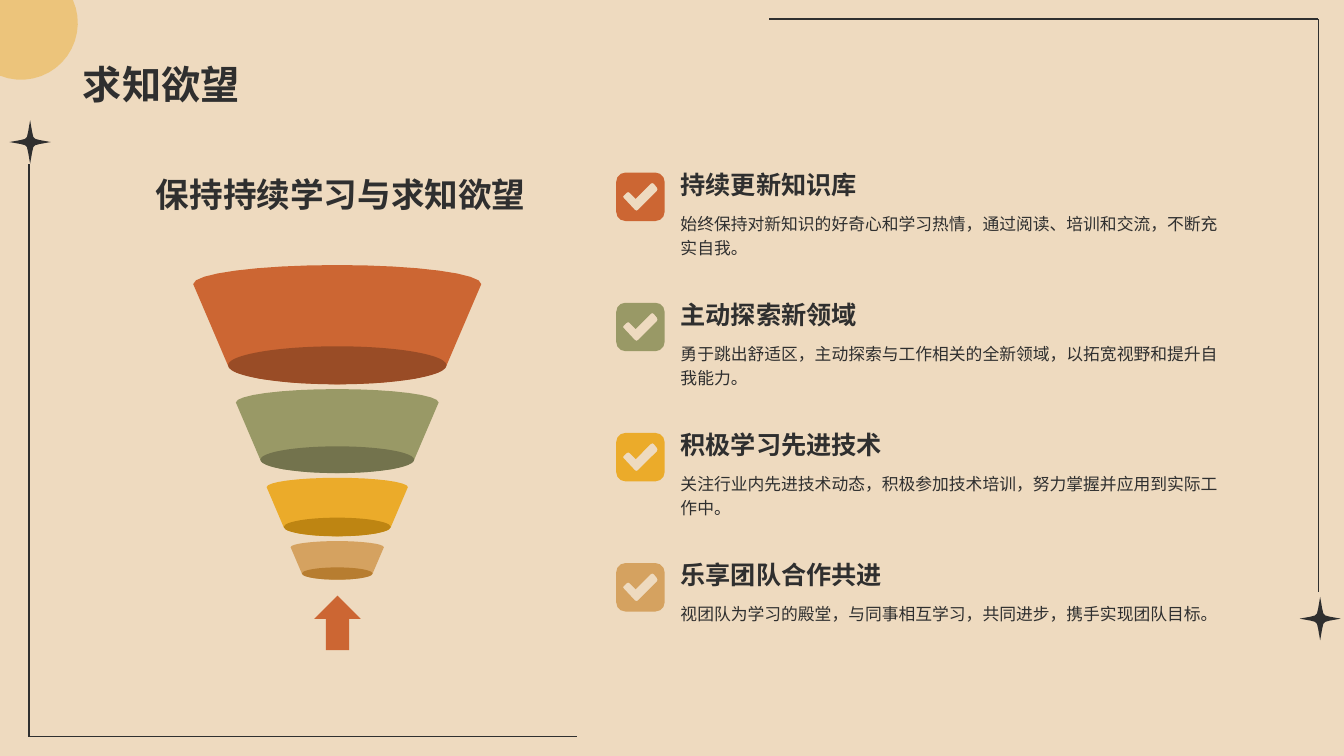
import math
from dataclasses import dataclass
from typing import Any, Optional

import lxml.etree
import pptx
import pptx.dml.color
import pptx.enum.lang
import pptx.enum.shapes
import pptx.enum.text
import pptx.oxml.ns
import pptx.util

Cm = pptx.util.Cm
qn = pptx.oxml.ns.qn
Shapes = pptx.enum.shapes.MSO_SHAPE
Anchor = pptx.enum.text.MSO_ANCHOR
Align = pptx.enum.text.PP_ALIGN
Point = tuple[float, float]


@dataclass(frozen=True)
class Theme:
    paper: str = "EEDABF"
    ink: str = "2F2F2F"
    rust: str = "CC6633"
    rust_dark: str = "994C26"
    olive: str = "999966"
    olive_dark: str = "73734D"
    gold: str = "EBAB2A"
    gold_dark: str = "BE8512"
    tan: str = "D5A260"
    tan_dark: str = "B77D30"
    font: str = "Arial"
    title: int = 28
    subtitle: int = 24
    heading: int = 18
    detail: int = 12


@dataclass(frozen=True)
class Habit:
    heading: str
    detail: str
    color: str
    dark: str
    tier_width: float


@dataclass(frozen=True)
class Label:
    text: str
    left: float
    top: float
    width: float
    height: float
    size: int
    bold: bool = True
    anchor: Any = Anchor.TOP
    align: Any = Align.LEFT
    spacing: Optional[float] = None


THEME = Theme()
HABITS = [
    Habit("持续更新知识库",
          "始终保持对新知识的好奇心和学习热情，通过阅读、培训和交流，不断充实自我。",
          THEME.rust, THEME.rust_dark, 7.26),
    Habit("主动探索新领域",
          "勇于跳出舒适区，主动探索与工作相关的全新领域，以拓宽视野和提升自我能力。",
          THEME.olive, THEME.olive_dark, 5.11),
    Habit("积极学习先进技术",
          "关注行业内先进技术动态，积极参加技术培训，努力掌握并应用到实际工作中。",
          THEME.gold, THEME.gold_dark, 3.56),
    Habit("乐享团队合作共进",
          "视团队为学习的殿堂，与同事相互学习，共同进步，携手实现团队目标。",
          THEME.tan, THEME.tan_dark, 2.35),
]
PAGE_WIDTH, PAGE_HEIGHT = 33.87, 19.05
FRAME_CORNERS = [((0.73, 18.56), (0.73, 4.14), (14.53, 18.56)),
                 ((33.22, 0.48), (33.22, 14.91), (19.38, 0.48))]
STAR_CENTERS = [(0.76, 3.58), (33.27, 15.59)]
STAR_QUARTER = [(0.52, 0), (0.24, 0.05), (0.13, 0.08), (0.08, 0.13), (0.05, 0.26)]
STAR_TIP = 0.55
CHECK = [(1.03, 0.46), (1.04, 0.42), (1.03, 0.38), (0.95, 0.28), (0.91, 0.26), (0.87, 0.28),
         (0.49, 0.66), (0.34, 0.51), (0.3, 0.49), (0.26, 0.51), (0.19, 0.58), (0.17, 0.61),
         (0.19, 0.64), (0.47, 0.94), (0.51, 0.96), (0.55, 0.94)]
FUNNEL_CENTER, FUNNEL_TOP, TIER_GAP = 8.5, 6.68, 0.12
ROW_PITCH, BOX_SIDE, BOX_RADIUS = 3.28, 1.22, 0.23


def rgb(color: str) -> Any:
    return pptx.dml.color.RGBColor.from_string(color)


def paint(shape: Any, color: str) -> Any:
    shape.shadow.inherit = False
    shape.fill.solid()
    shape.fill.fore_color.rgb = rgb(color)
    shape.line.fill.background()
    return shape


def arc(center: Point, radius_x: float, radius_y: float, start: float, end: float,
        steps: int) -> list[Point]:
    angles = [math.radians(start + (end - start) * step / steps) for step in range(steps + 1)]
    return [(center[0] + radius_x * math.cos(angle), center[1] + radius_y * math.sin(angle))
            for angle in angles]


def draw_outline(page: Any, contours: list[list[Point]], color: str,
                 opacity: Optional[int] = None) -> None:
    emu = [[(Cm(x), Cm(y)) for x, y in contour] for contour in contours]
    builder = page.shapes.build_freeform(*emu[0][0])
    for index, contour in enumerate(emu):
        if index:
            builder.move_to(*contour[0])
        builder.add_line_segments(contour[1:], close=True)
    shape = paint(builder.convert_to_shape(), color)
    if opacity is not None:
        tint = shape.element.spPr.find(qn("a:solidFill"))[0]
        lxml.etree.SubElement(tint, qn("a:alpha"), val=str(opacity * 1000))


def draw_preset(page: Any, kind: Any, left: float, top: float, width: float, height: float,
                color: str) -> None:
    paint(page.shapes.add_shape(kind, Cm(left), Cm(top), Cm(width), Cm(height)), color)


def draw_line(page: Any, start: Point, end: Point) -> None:
    line = page.shapes.add_connector(pptx.enum.shapes.MSO_CONNECTOR.STRAIGHT,
                                     *map(Cm, start + end))
    line.line.color.rgb = rgb(THEME.ink)
    line.line.width = pptx.util.Pt(1)
    lxml.etree.SubElement(line.element.spPr, qn("a:effectLst"))


def draw_star(page: Any, center: Point) -> None:
    half = STAR_QUARTER + [(0, STAR_TIP)] + [(-x, y) for x, y in reversed(STAR_QUARTER)]
    ring = half + [(-x, -y) for x, y in half[1:-1]]
    draw_outline(page, [[(center[0] + x, center[1] + y) for x, y in ring]], THEME.ink)


def draw_tier(page: Any, habit: Habit, top: float) -> float:
    width = habit.tier_width
    height, rim, base_width = 0.414 * width, 0.066 * width, 0.759 * width
    upper = arc((FUNNEL_CENTER, top + rim), width / 2, rim, 180, 360, 16)
    lower = arc((FUNNEL_CENTER, top + height - rim), base_width / 2, rim, 0, 180, 8)
    draw_outline(page, [upper + lower], habit.color)
    draw_preset(page, Shapes.OVAL, FUNNEL_CENTER - base_width / 2, top + height - 2 * rim,
                base_width, 2 * rim, habit.dark)
    return top + height + TIER_GAP


def draw_checkbox(page: Any, left: float, top: float, color: str) -> None:
    near, far = BOX_RADIUS, BOX_SIDE - BOX_RADIUS
    corners = [(far, far), (near, far), (near, near), (far, near)]
    border = [point for turn, corner in enumerate(corners)
              for point in arc(corner, BOX_RADIUS, BOX_RADIUS, 90 * turn, 90 * turn + 90, 3)]
    draw_outline(page, [[(left + x, top + y) for x, y in contour] for contour in (border, CHECK)],
                 color)


def draw_label(page: Any, label: Label) -> None:
    box = page.shapes.add_textbox(Cm(label.left), Cm(label.top), Cm(label.width), Cm(label.height))
    para = box.text_frame.paragraphs[0]
    span = para.add_run()
    span.text = label.text
    span.font.color.rgb = rgb(THEME.ink)
    formats = [
        (box.text_frame, {"word_wrap": True, "vertical_anchor": label.anchor}),
        (para, {"alignment": label.align, "line_spacing": label.spacing}),
        (span.font, {"name": THEME.font, "size": pptx.util.Pt(label.size), "bold": label.bold,
                     "language_id": pptx.enum.lang.MSO_LANGUAGE_ID.SIMPLIFIED_CHINESE}),
    ]
    for target, values in formats:
        for name, value in values.items():
            setattr(target, name, value)
    lxml.etree.SubElement(span.font._element, qn("a:ea"), typeface=THEME.font)


def main() -> None:
    deck = pptx.Presentation()
    deck.slide_width, deck.slide_height = Cm(PAGE_WIDTH), Cm(PAGE_HEIGHT)
    page = deck.slides.add_slide(deck.slide_layouts[6])
    page.background.fill.solid()
    page.background.fill.fore_color.rgb = rgb(THEME.paper)
    draw_outline(page, [[(0, 0), (PAGE_WIDTH, 0), (PAGE_WIDTH, PAGE_HEIGHT), (0, PAGE_HEIGHT)]],
                 THEME.paper, opacity=50)

    for corner, *ends in FRAME_CORNERS:
        for end in ends:
            draw_line(page, corner, end)
    for center in STAR_CENTERS:
        draw_star(page, center)
    draw_outline(page, [[(0, 0)] + arc((0.53, 0.58), 1.43, 1.43, -23.9, 111.8, 16)],
                 THEME.gold, opacity=45)

    tier_top = FUNNEL_TOP
    for habit in HABITS:
        tier_top = draw_tier(page, habit, tier_top)
    draw_preset(page, Shapes.UP_ARROW, 7.92, 15.01, 1.17, 1.37, THEME.rust)

    for row, habit in enumerate(HABITS):
        offset = row * ROW_PITCH
        draw_checkbox(page, 15.53, 4.35 + offset, habit.color)
        draw_label(page, Label(habit.detail, 16.9, 5.16 + offset, 14.25, 1.57, THEME.detail,
                               bold=False, spacing=1.2))
        draw_label(page, Label(habit.heading, 16.9, 3.47 + offset, 14.25, 1.68, THEME.heading,
                               anchor=Anchor.BOTTOM))
    draw_label(page, Label("保持持续学习与求知欲望", 1.83, 4.25, 13.51, 2.51, THEME.subtitle,
                           align=Align.CENTER))
    draw_label(page, Label("求知欲望", 1.84, 0.35, 30.18, 2.49, THEME.title,
                           anchor=Anchor.BOTTOM))
    deck.save("out.pptx")


if __name__ == "__main__":
    main()
